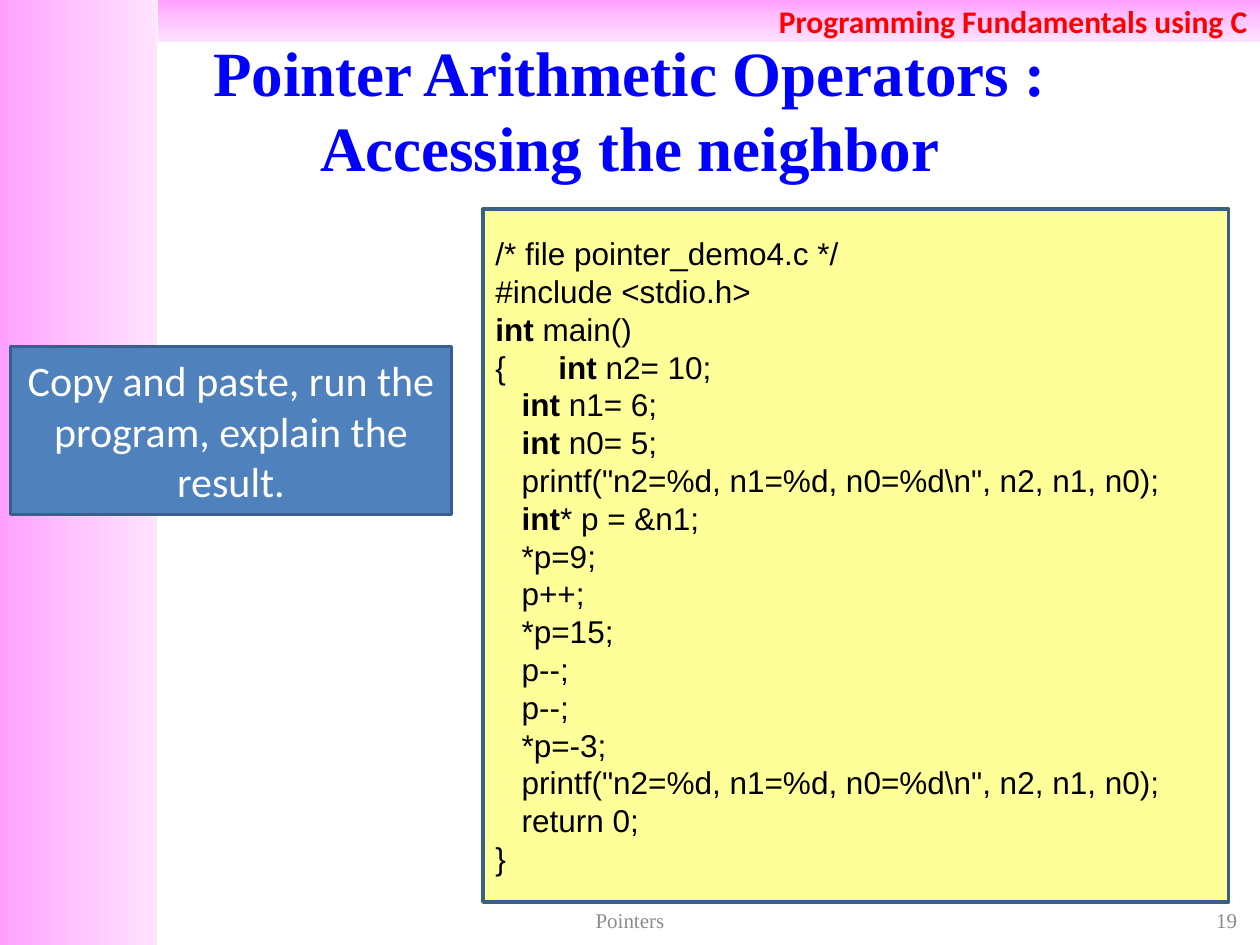
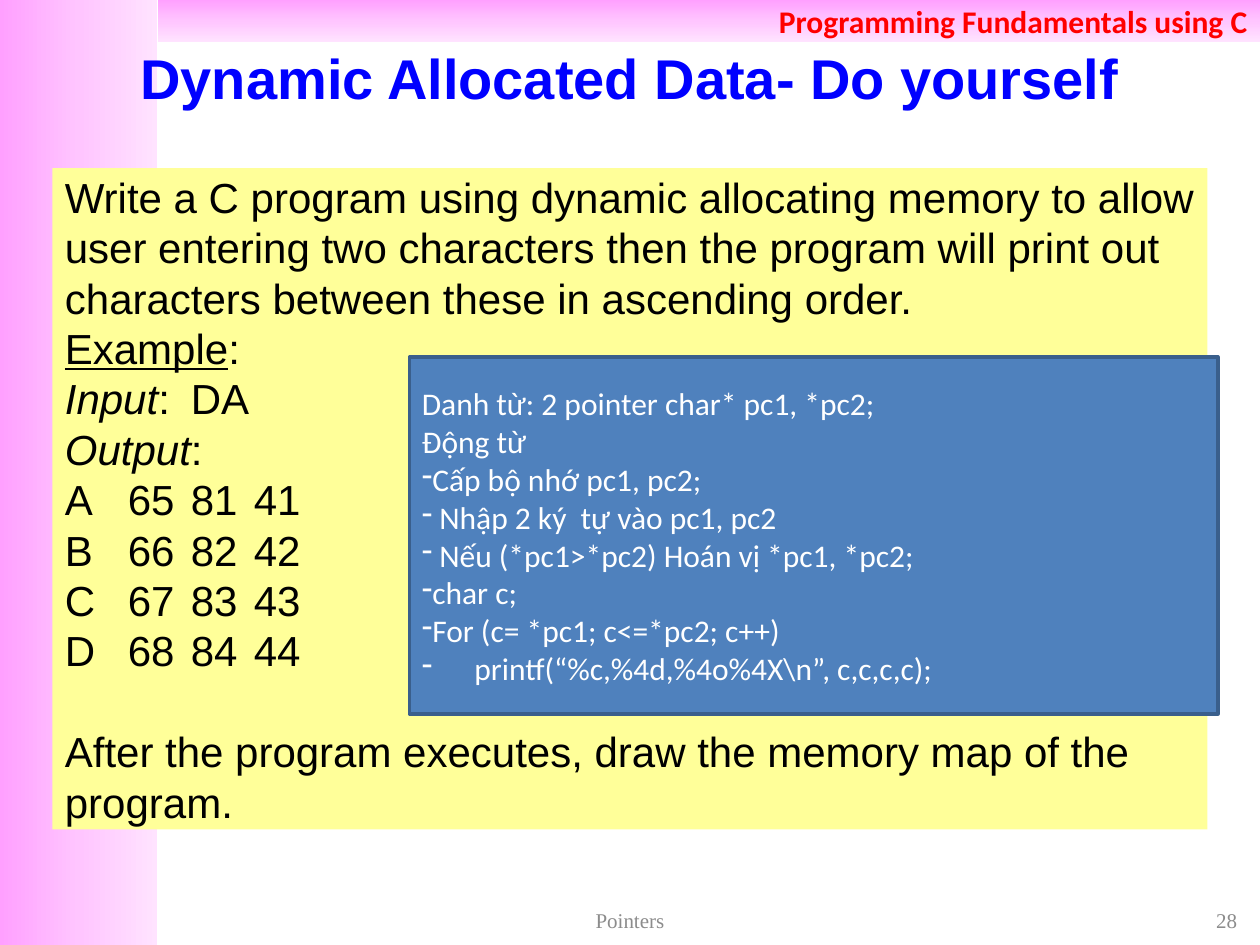
from copy import deepcopy
from dataclasses import dataclass

from lxml import etree
from pptx import Presentation
from pptx.dml.color import RGBColor
from pptx.enum.shapes import MSO_SHAPE
from pptx.enum.text import MSO_ANCHOR, PP_ALIGN
from pptx.oxml.ns import qn
from pptx.util import Pt

RECT = MSO_SHAPE.RECTANGLE
MIDDLE = MSO_ANCHOR.MIDDLE
LEFT, CENTER, RIGHT = PP_ALIGN.LEFT, PP_ALIGN.CENTER, PP_ALIGN.RIGHT
WIDE, HIGH = 720, 540
SIDE, TOP = 90, 24
COLORS = {
    "dark": "FFA0FF", "mid": "FFC5FF", "pale": "FFE3FF",
    "red": "FF0000", "title": "0000FF", "blue": "4F81BD",
    "edge": "3A5F8C", "note": "FFFF99", "white": "FFFFFF",
    "black": "000000", "gray": "8C8C8C",
}
SANS, BODY, SERIF = "Arial", "Calibri", "Times New Roman"


@dataclass
class Line:
    """One paragraph; each run is a string or a (text, marks) pair, marks from b, i, u."""
    runs: tuple
    left: float = 0
    gap: float = 0
    tabs: tuple = ()
    dash: bool = False


@dataclass
class Font:
    name: str
    size: float
    color: str
    bold: bool = False


def rgb(name):
    return RGBColor.from_string(COLORS[name])


class Deck:
    def __init__(self):
        self.prs = Presentation()
        self.prs.slide_width, self.prs.slide_height = Pt(WIDE), Pt(HIGH)
        self.slide = None

    def start(self, number):
        """Add a slide with its bands and footer."""
        self.slide = self.prs.slides.add_slide(self.prs.slide_layouts[6])
        self.band((0, 0, SIDE, HIGH), 0)
        head = self.band((SIDE, 0, WIDE - SIDE, TOP), 270)
        self.put(head, ["Programming Fundamentals using C"],
                 Font(BODY, 18, "red", True), RIGHT)
        foot = Font(SERIF, 12, "gray")
        self.text((246, 516, 228, 19.5), ["Pointers"], foot, CENTER)
        self.text((546, 516, 168, 19.5), [str(number)], foot, RIGHT)

    def rect(self, area):
        shape = self.slide.shapes.add_shape(RECT, *map(Pt, area))
        shape.shadow.inherit = False
        return shape

    def band(self, area, angle):
        shape = self.rect(area)
        shape.line.fill.background()
        shape.fill.gradient()
        shape.fill.gradient_angle = angle
        first, last = shape.fill.gradient_stops
        first.color.rgb, last.color.rgb = rgb("dark"), rgb("pale")
        stops = shape._element.spPr.find(".//" + qn("a:gsLst"))
        half = deepcopy(stops[0])
        half.set("pos", "50000")
        half[0].set("val", COLORS["mid"])
        stops.insert(1, half)
        return shape

    def panel(self, area, fill, lines, font, align=LEFT, edge=True):
        shape = self.rect(area)
        shape.fill.solid()
        shape.fill.fore_color.rgb = rgb(fill)
        if edge:
            shape.line.color.rgb = rgb("edge")
            shape.line.width = Pt(2)
        else:
            shape.line.fill.background()
        self.put(shape, lines, font, align)

    def text(self, area, lines, font, align):
        box = self.slide.shapes.add_textbox(*map(Pt, area))
        self.put(box, lines, font, align)

    def title(self, high, rows, name, size):
        self.text((0, 21.6, WIDE, high), rows,
                  Font(name, size, "title", True), CENTER)

    def put(self, shape, lines, font, align):
        """Fill a shape with lines, run by run."""
        frame = shape.text_frame
        frame.word_wrap = True
        frame.vertical_anchor = MIDDLE
        for n, line in enumerate(lines):
            if isinstance(line, str):
                line = Line((line,))
            para = frame.add_paragraph() if n else frame.paragraphs[0]
            para.alignment = align
            self.lay(para, line)
            for part in line.runs:
                words, marks = (part, "") if isinstance(part, str) else part
                run = para.add_run()
                run.text = words
                face = run.font
                face.name, face.size = font.name, Pt(font.size)
                face.color.rgb = rgb(font.color)
                face.bold = font.bold or "b" in marks
                face.italic = "i" in marks
                face.underline = "u" in marks

    def lay(self, para, line):
        """Set gap, indent, bullet and tab stops."""
        if line.gap:
            para.space_before = Pt(line.gap)
        props = para._p.get_or_add_pPr()
        props.set("marL", str(Pt(line.left)))
        props.set("indent", str(Pt(-line.left if line.dash else 0)))
        if line.dash:
            etree.SubElement(props, qn("a:buFontTx"))
            etree.SubElement(props, qn("a:buChar"), char="-")
        if line.tabs:
            tabs = etree.SubElement(props, qn("a:tabLst"))
            for pos in line.tabs:
                etree.SubElement(tabs, qn("a:tab"), pos=str(Pt(pos)), algn="l")


def code(*runs):
    return Line(runs, left=15)


def row(*runs):
    return Line(runs, tabs=(42, 89, 136))


def dash(words, left=0):
    return Line((words,), left=left, dash=True)


def access(deck):
    deck.start(19)
    deck.title(81, ["Pointer Arithmetic Operators :", "Accessing the neighbor"],
               SERIF, 36)
    deck.panel((6, 198, 252, 96), "blue",
               ["Copy and paste, run the program, explain the result."],
               Font(BODY, 24, "white"), CENTER)
    key = ("int", "b")
    show = code('printf("n2=%d, n1=%d, n0=%d\\n", n2, n1, n0);')
    steps = ["*p=9;", "p++;", "*p=15;", "p--;", "p--;", "*p=-3;"]
    lines = [
        "/* file pointer_demo4.c */",
        "#include <stdio.h>",
        Line((key, " main()")),
        Line(("{\t", key, " n2= 10;"), tabs=(16,)),
        code(key, " n1= 6;"),
        code(key, " n0= 5;"),
        show,
        code(key, "* p = &n1;"),
        *map(code, steps),
        show,
        code("return 0;"),
        "}",
    ]
    deck.panel((276, 119.5, 426, 396), "note", lines, Font(SANS, 18, "black"))


def dynamic(deck):
    deck.start(28)
    deck.title(45, ["Dynamic Allocated Data- Do yourself"], SANS, 32)
    chars = [row(f"{chr(n)}\t{n}\t{n + 16}\t{n - 24}") for n in range(65, 69)]
    task = [
        "Write a C program using dynamic allocating memory to allow user "
        "entering two characters then the program will print out characters "
        "between these in ascending order.",
        Line((("Example", "u"), ":")),
        row(("Input", "i"), ":\tDA"),
        Line((("Output", "i"), ":")),
        *chars,
        Line(("After the program executes, draw the memory map of the program.",),
             gap=28.8),
    ]
    deck.panel((30, 96, 660, 378), "note", task, Font(SANS, 24, "black"),
               edge=False)
    plan = [
        "Danh từ: 2 pointer char* pc1, *pc2;",
        "Động từ",
        dash("Cấp bộ nhớ pc1, pc2;"),
        dash(" Nhập 2 ký  tự vào pc1, pc2"),
        dash(" Nếu (*pc1>*pc2) Hoán vị *pc1, *pc2;"),
        dash("char c;"),
        dash("For (c= *pc1; c<=*pc2; c++)"),
        dash("printf(“%c,%4d,%4o%4X\\n”, c,c,c,c);", 30),
    ]
    deck.panel((234, 204, 462, 204), "blue", plan, Font(BODY, 18, "white"))


def main():
    deck = Deck()
    access(deck)
    dynamic(deck)
    deck.prs.save("out.pptx")


if __name__ == "__main__":
    main()
